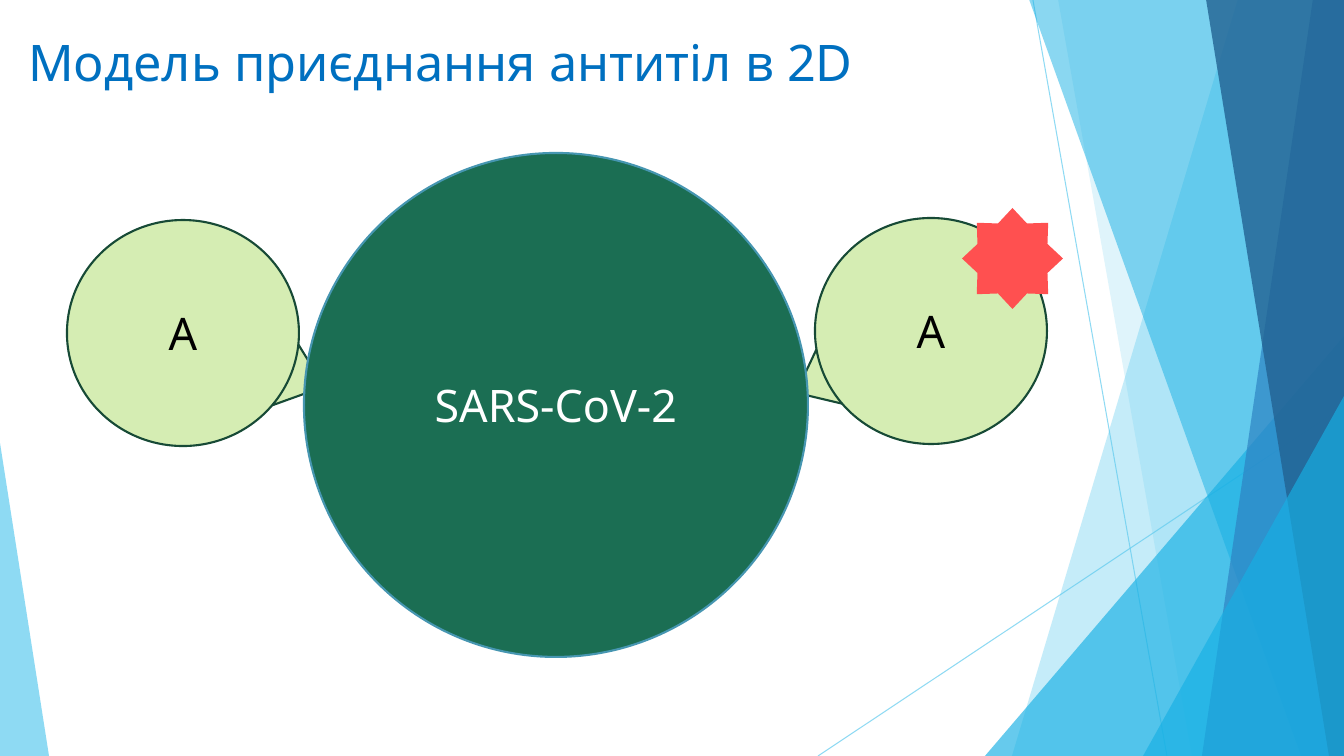
from lxml.etree import SubElement
from pptx import Presentation
from pptx.dml.color import RGBColor
from pptx.enum.shapes import MSO_CONNECTOR, MSO_SHAPE
from pptx.enum.text import MSO_ANCHOR, PP_ALIGN
from pptx.oxml.ns import qn
from pptx.util import Emu, Pt

PX = 914400 / 100.8
SLIDE_W, SLIDE_H = 1344, 756
FONT = "Noto Sans"
COLORS = {
    "sky": "5FCBEF", "azure": "17B0E4", "blue": "2E83C3", "navy": "226292",
    "antibody": "D5EDB3", "antibody_edge": "174A36",
    "virus": "1B6E53", "virus_edge": "4696B1", "marker": "FF5050",
    "title": "0070C0", "black": "000000", "white": "FFFFFF",
}


def px(*lengths):
    return [Emu(round(length * PX)) for length in lengths]


def rgb(name):
    return RGBColor.from_string(COLORS[name])


def set_opacity(part, percent):
    for color in part._element.spPr.iter(qn("a:srgbClr")):
        SubElement(color, qn("a:alpha"), val=str(percent * 1000))


def paint(part, fill, edge=None, opacity=None):
    part.shadow.inherit = False
    part.fill.solid()
    part.fill.fore_color.rgb = rgb(fill)
    if edge:
        part.line.color.rgb = rgb(edge)
        part.line.width = Pt(1.5)
    else:
        part.line.fill.background()
    if opacity:
        set_opacity(part, opacity)


def write(frame, text, size, color, align):
    frame.word_wrap = True
    frame.text = text
    paragraph = frame.paragraphs[0]
    paragraph.alignment = align
    paragraph.font.name = FONT
    paragraph.font.size = Pt(size)
    paragraph.font.color.rgb = rgb(color)


def add_preset(slide, preset, box, fill, edge=None, opacity=None):
    part = slide.shapes.add_shape(preset, *px(*box))
    paint(part, fill, edge, opacity)
    return part


def add_disc(slide, box, text, fill, edge, color):
    disc = add_preset(slide, MSO_SHAPE.OVAL, box, fill, edge)
    disc.text_frame.vertical_anchor = MSO_ANCHOR.MIDDLE
    write(disc.text_frame, text, 32, color, PP_ALIGN.CENTER)


def add_facets(slide, box):
    """Translucent facets, all measured from the box's corner."""
    left, top, width, height = box
    right, bottom = left + width, top + height

    def ray(x1, y1, x2, y2):
        line = slide.shapes.add_connector(
            MSO_CONNECTOR.STRAIGHT, *px(left + x1, top + y1, left + x2, top + y2))
        line.line.color.rgb = rgb("sky")
        line.line.width = Pt(0.75)
        set_opacity(line, 70)
        SubElement(line._element.spPr, qn("a:effectLst"))

    def band(top_x, bottom_x, color, opacity):
        outline = slide.shapes.build_freeform(left + top_x, top - 1, scale=PX)
        outline.add_line_segments(
            [(right, top - 1), (right, bottom), (left + bottom_x, bottom)])
        paint(outline.convert_to_shape(), color, opacity=opacity)

    def wedge(x, wedge_width, wedge_height, apex, color, opacity):
        triangle = add_preset(
            slide, MSO_SHAPE.ISOSCELES_TRIANGLE,
            (left + x, bottom - wedge_height, wedge_width, wedge_height),
            color, opacity=opacity)
        triangle.adjustments[0] = apex

    ray(1033, 0, 1167, height)
    ray(width, 406, 818, height)
    band(1238, 1012, "sky", 36)
    band(1058, 1192, "sky", 20)
    wedge(985, 359, 420, 1, "azure", 66)
    band(1029, 1301, "azure", 50)
    band(1313, 1202, "blue", 70)
    band(1206, 1329, "navy", 80)
    wedge(1143, 201, 360, 1, "azure", 66)
    wedge(0, 49, 313, 0, "sky", 70)


def add_antibody(slide, box, tail_offset, tail_turn, marked=False):
    left, top = box[:2]
    tail = add_preset(
        slide, MSO_SHAPE.ISOSCELES_TRIANGLE,
        (left + tail_offset[0], top + tail_offset[1], 99, 61),
        "antibody", "antibody_edge")
    tail.rotation = tail_turn
    add_disc(slide, box, "A", "antibody", "antibody_edge", "black")
    if marked:
        add_preset(slide, MSO_SHAPE.STAR_8_POINT,
                   (left + 147, top - 10, 101, 101), "marker")


def add_title(slide, box):
    title = slide.shapes.title
    title.left, title.top, title.width, title.height = px(*box)
    title.text_frame.vertical_anchor = MSO_ANCHOR.TOP
    write(title.text_frame, "Модель приєднання антитіл в 2D", 36, "title",
          PP_ALIGN.LEFT)


def build_slide(deck):
    slide = deck.slides.add_slide(deck.slide_layouts.get_by_name("Title Only"))
    slide.background.fill.solid()
    slide.background.fill.fore_color.rgb = rgb("white")

    # Backdrop
    add_facets(slide, (0, 0, SLIDE_W, SLIDE_H))
    # Antibodies, with the virus over their tails
    add_antibody(slide, (67, 220, 232, 226), (179, 126), 109.3)
    add_antibody(slide, (815, 218, 232, 226), (-41, 131), 244.3, marked=True)
    add_disc(slide, (304, 153, 504, 504), "SARS-CoV-2",
             "virus", "virus_edge", "white")
    # Heading
    add_title(slide, (18, 26, 1001, 83))


deck = Presentation()
deck.slide_width, deck.slide_height = px(SLIDE_W, SLIDE_H)
build_slide(deck)
deck.save("out.pptx")
